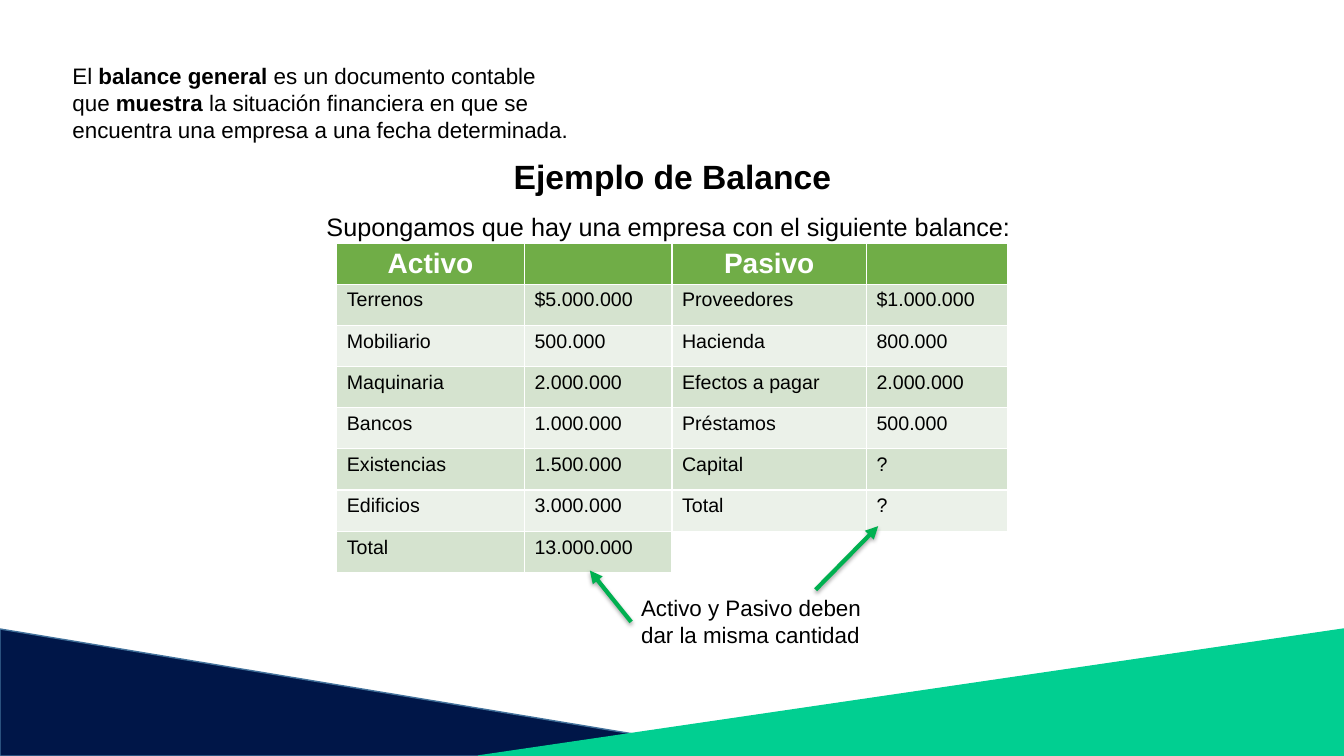
import pptx
import pptx.dml.color
import pptx.enum.shapes
import pptx.enum.text
import pptx.oxml
import pptx.oxml.ns
import pptx.util

RGB = pptx.dml.color.RGBColor
Inches, Pt = pptx.util.Inches, pptx.util.Pt
MSO_SHAPE = pptx.enum.shapes.MSO_SHAPE
PP_ALIGN = pptx.enum.text.PP_ALIGN

NAVY, NAVY_EDGE, MINT = RGB(0, 0x16, 0x48), RGB(0x42, 0x71, 0x9B), RGB(0x01, 0xCF, 0x91)
HEADER_GREEN, ARROW_GREEN = RGB(0x70, 0xAD, 0x47), RGB(0, 0xB0, 0x50)
BANDS = RGB(0xD5, 0xE3, 0xCF), RGB(0xEB, 0xF1, 0xE9)
BLACK, WHITE = RGB(0, 0, 0), RGB(255, 255, 255)
FONT = "Arial"
SLIDE_W, SLIDE_H = 13.33, 7.5

BALANCE = [
    ("Activo", "", "Pasivo", ""),
    ("Terrenos", "$5.000.000", "Proveedores", "$1.000.000"),
    ("Mobiliario", "500.000", "Hacienda", "800.000"),
    ("Maquinaria", "2.000.000", "Efectos a pagar", "2.000.000"),
    ("Bancos", "1.000.000", "Préstamos", "500.000"),
    ("Existencias", "1.500.000", "Capital", "?"),
    ("Edificios", "3.000.000", "Total", "?"),
    ("Total", "13.000.000", "", ""),
]
COLUMN_SHARES = (0.28, 0.22, 0.29, 0.21)

ARROW_XML = '<a:tailEnd %s type="triangle"/>' % pptx.oxml.ns.nsdecls("a")
SHADOW_XML = (
    '<a:effectLst %s><a:outerShdw blurRad="39370" dist="22860" dir="5400000">'
    '<a:srgbClr val="000000"><a:alpha val="35000"/></a:srgbClr>'
    '</a:outerShdw></a:effectLst>' % pptx.oxml.ns.nsdecls("a")
)


def style(p, size, color=BLACK, bold=False, align=PP_ALIGN.LEFT):
    p.font.name, p.font.size, p.font.bold = FONT, Pt(size), bold
    p.font.color.rgb = color
    p.alignment = align


def add_text(slide, box, runs, size):
    """Text box with one paragraph; runs are (text, bold) pairs."""
    sp = slide.shapes.add_textbox(*map(Inches, box))
    tf = sp.text_frame
    tf.word_wrap = True
    p = tf.paragraphs[0]
    style(p, size)
    for text, bold in runs:
        r = p.add_run()
        r.text = text
        if bold:
            r.font.bold = True
    return sp


def add_footer(slide, box):
    """Two overlapping triangles along the bottom edge."""
    left, top, width, height = box
    triangles = [(0, 0.57, NAVY, NAVY_EDGE, False), (0.356, 0.644, MINT, MINT, True)]
    for start, share, fill, edge, mirrored in triangles:
        sp = slide.shapes.add_shape(
            MSO_SHAPE.RIGHT_TRIANGLE, Inches(left + start * width), Inches(top),
            Inches(share * width), Inches(height))
        sp.shadow.inherit = False
        sp.fill.solid()
        sp.fill.fore_color.rgb = fill
        sp.line.color.rgb = edge
        sp.line.width = Pt(1)
        if mirrored:
            sp.element.spPr.xfrm.set("flipH", "1")


def add_heading(slide, box):
    """Title with the introductory sentence below it."""
    left, top, width, height = box
    title = slide.shapes.title
    title.left, title.top, title.width, title.height = map(
        Inches, (left, top, width, height / 2))
    tf = title.text_frame
    tf.text = "Ejemplo de Balance"
    tf.vertical_anchor = pptx.enum.text.MSO_ANCHOR.TOP
    tf.auto_size = pptx.enum.text.MSO_AUTO_SIZE.NONE
    style(tf.paragraphs[0], 24, bold=True, align=PP_ALIGN.CENTER)
    intro = add_text(slide, (left, top + height / 2, width, height / 2),
                     [("Supongamos que hay una empresa con el siguiente balance:", False)], 18)
    for p in (tf.paragraphs[0], intro.text_frame.paragraphs[0]):
        p.line_spacing = 1.5
        p.space_before = Pt(0)


def add_balance(slide, box):
    """Balance table: assets on the left, liabilities on the right."""
    table = slide.shapes.add_table(len(BALANCE), len(COLUMN_SHARES), *map(Inches, box)).table
    for column, share in zip(table.columns, COLUMN_SHARES):
        column.width = Inches(share * box[2])
    for i, row in enumerate(BALANCE):
        table.rows[i].height = Inches(box[3] / len(BALANCE))
        for j, text in enumerate(row):
            cell = table.cell(i, j)
            cell.text = text
            cell.fill.solid()
            p = cell.text_frame.paragraphs[0]
            if i == 0:
                cell.fill.fore_color.rgb = HEADER_GREEN
                cell.margin_bottom = 0
                style(p, 20, WHITE, True, PP_ALIGN.CENTER)
            else:
                last_blank = i == len(BALANCE) - 1 and not text
                cell.fill.fore_color.rgb = WHITE if last_blank else BANDS[(i - 1) % 2]
                style(p, 14)


def add_arrow(slide, start, end):
    line = slide.shapes.add_connector(
        pptx.enum.shapes.MSO_CONNECTOR.STRAIGHT, *map(Inches, start + end))
    line.line.color.rgb = ARROW_GREEN
    line.line.width = Pt(3)
    sp_pr = line.element.spPr
    sp_pr.get_or_add_ln().append(pptx.oxml.parse_xml(ARROW_XML))
    sp_pr.append(pptx.oxml.parse_xml(SHADOW_XML))
    return line


def add_note(slide, box):
    """Note whose arrows point at the two totals."""
    left, top, width, height = box
    note = add_text(slide, box, [("Activo y Pasivo deben dar la misma cantidad", False)], 16)
    add_arrow(slide, (left + 1.83, top), (left + 2.45, top - 0.63))
    arrow = add_arrow(slide, (left, top + height / 2), (left - 0.41, top - 0.19))
    arrow.begin_connect(note, 1)


def main():
    prs = pptx.Presentation()
    prs.slide_width, prs.slide_height = Inches(SLIDE_W), Inches(SLIDE_H)
    slide = prs.slides.add_slide(prs.slide_layouts[5])
    add_footer(slide, (0, 6.24, SLIDE_W, SLIDE_H - 6.24))
    add_balance(slide, (3.34, 2.41, 6.65, 3.27))
    add_heading(slide, (3.14, 1.3, 7.06, 1.2))
    add_text(slide, (0.62, 0.57, 5.17, 0.91), [
        ("El ", False), ("balance general", True),
        (" es un documento contable que ", False), ("muestra", True),
        (" la situación financiera en que se encuentra una empresa"
         " a una fecha determinada.", False)], 16)
    add_note(slide, (6.26, 5.85, 2.42, 0.64))
    prs.save("out.pptx")


if __name__ == "__main__":
    main()
